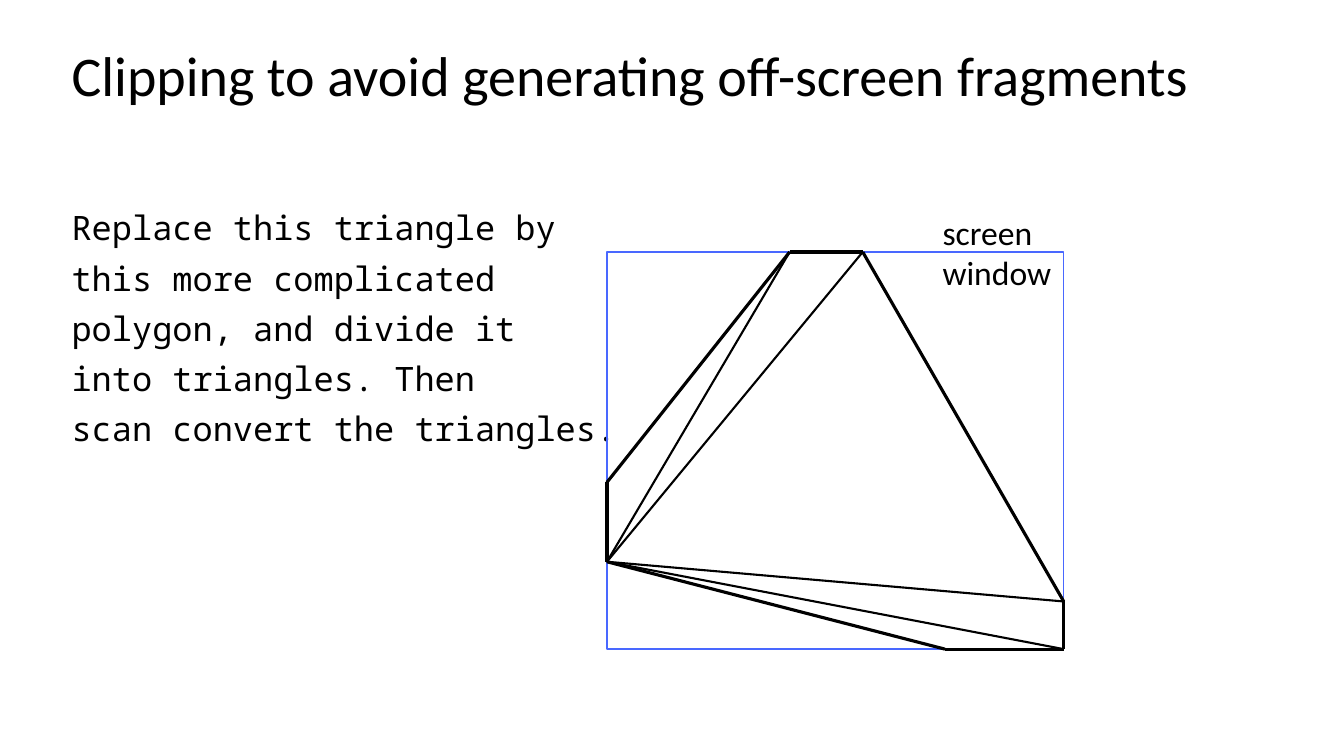
from lxml import etree
from pptx import Presentation, util as u
from pptx.dml.color import RGBColor
from pptx.enum import shapes, text
from pptx.oxml.ns import qn

WIDE, HIGH = 13.33, 7.5
INK, BLUE = "000000", "4968FF"
WINDOW = (6.02, 2.5, 4.53, 3.94)
# Corners of the clipped polygon as shares of the window, fan apex first
CORNERS = [(0, 0.78), (0, 0.58), (0.4, 0), (0.56, 0),
           (1, 0.88), (1, 1), (0.74, 1)]
STEPS = ["Replace this triangle by", "this more complicated",
         "polygon, and divide it", "into triangles. Then",
         "scan convert the triangles."]


def paint(code):
    """Turn a hex string into a colour."""
    return RGBColor.from_string(code)


def put(item, form):
    """Set each attribute named in form on item."""
    for name, value in form.items():
        setattr(item, name, value)


def place(shape, box):
    """Move and size a shape to a box in inches."""
    names = ("left", "top", "width", "height")
    put(shape, dict(zip(names, map(u.Inches, box))))


def write(shape, lines, font, size, frame, para):
    """Fill a shape with one paragraph per line, without bullets."""
    body = shape.text_frame
    body.text = "\n".join(lines)
    put(body, {"word_wrap": True, **frame})
    for part in body.paragraphs:
        put(part, {"alignment": text.PP_ALIGN.LEFT, **para})
        props = part._p.get_or_add_pPr()
        put_none = {"marL": "0", "indent": "0"}
        for name, value in put_none.items():
            props.set(name, value)
        etree.SubElement(props, qn("a:buNone"))
        run = part.runs[0].font
        put(run, {"name": font, "size": u.Pt(size)})
        run.color.rgb = paint(INK)


def frame(slide, box):
    """Draw the screen window as an unfilled rectangle."""
    rect = slide.shapes.add_shape(shapes.MSO_SHAPE.RECTANGLE,
                                  *map(u.Inches, box))
    rect.shadow.inherit = False
    rect.fill.background()
    rect.line.color.rgb = paint(BLUE)
    rect.line.width = u.Pt(1)


def spot(share):
    """Turn shares of the window into a point on the slide."""
    left, top, wide, high = WINDOW
    return u.Inches(left + share[0] * wide), u.Inches(top + share[1] * high)


def edge(slide, start, end, width):
    """Draw a straight line between two corners."""
    line = slide.shapes.add_connector(shapes.MSO_CONNECTOR.STRAIGHT,
                                      *spot(start), *spot(end))
    line.line.color.rgb = paint(INK)
    line.line.width = u.Pt(width)
    etree.SubElement(line._element.spPr, qn("a:effectLst"))


def main():
    """Build the slide and save it."""
    deck = Presentation()
    put(deck, {"slide_width": u.Inches(WIDE), "slide_height": u.Inches(HIGH)})
    slide = deck.slides.add_slide(deck.slide_layouts[1])
    title, body = slide.placeholders
    fixed = {"auto_size": text.MSO_AUTO_SIZE.NONE}

    frame(slide, WINDOW)
    place(body, (0.61, 2.05, 12.22, 5.13))
    write(body, STEPS, "Noto Sans Mono", 24,
          {**fixed, "vertical_anchor": text.MSO_ANCHOR.TOP},
          {"line_spacing": 0.9, "space_before": u.Pt(10)})
    place(title, (0.61, 0.2, 11.8, 0.93))
    write(title, ["Clipping to avoid generating off-screen fragments"],
          "Calibri", 40, {**fixed, "vertical_anchor": text.MSO_ANCHOR.BOTTOM},
          {"line_spacing": 0.9, "space_before": u.Pt(0)})
    label = slide.shapes.add_textbox(*map(u.Inches, (9.25, 2.05, 1.66, 0.91)))
    write(label, ["screen window"], "Calibri", 24,
          {"auto_size": text.MSO_AUTO_SIZE.SHAPE_TO_FIT_TEXT}, {})

    for start, end in zip(CORNERS, CORNERS[1:] + CORNERS[:1]):
        edge(slide, start, end, 2.25)
    for corner in CORNERS[2:-1]:
        edge(slide, CORNERS[0], corner, 1.5)
    deck.save("out.pptx")


main()
